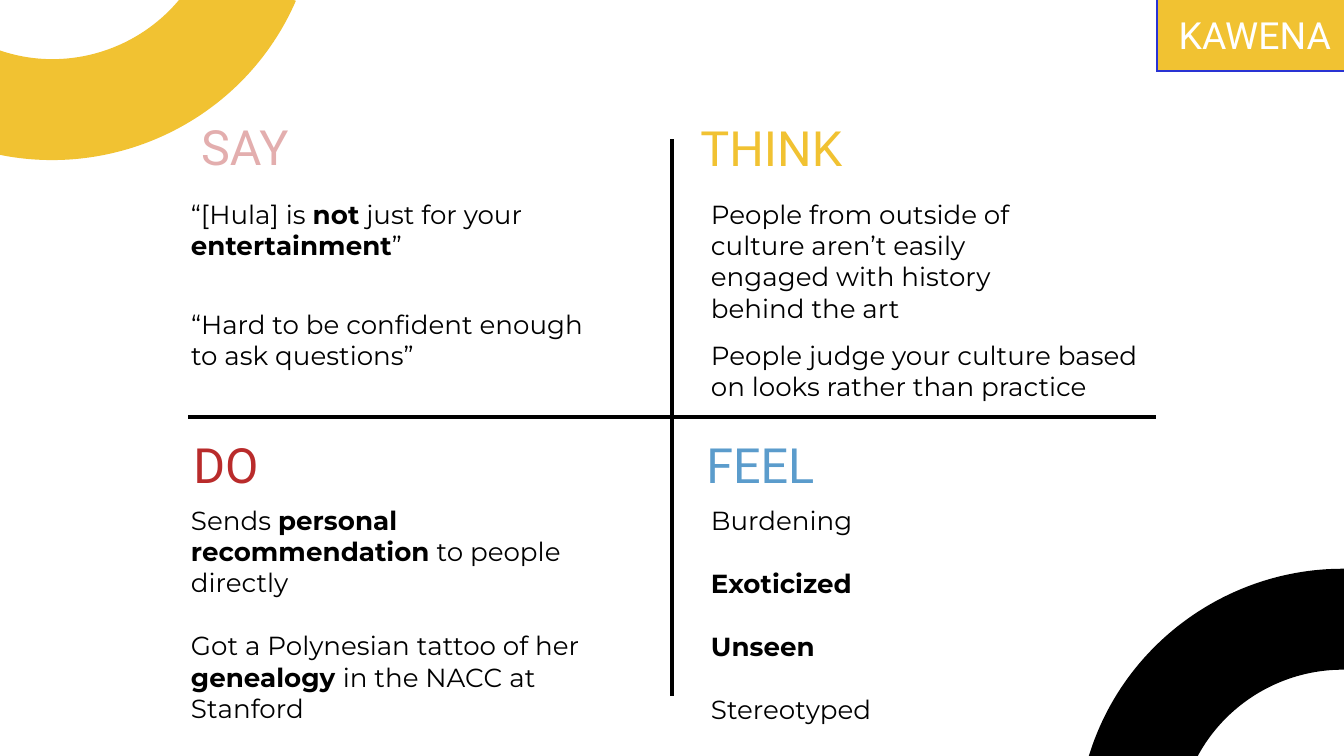
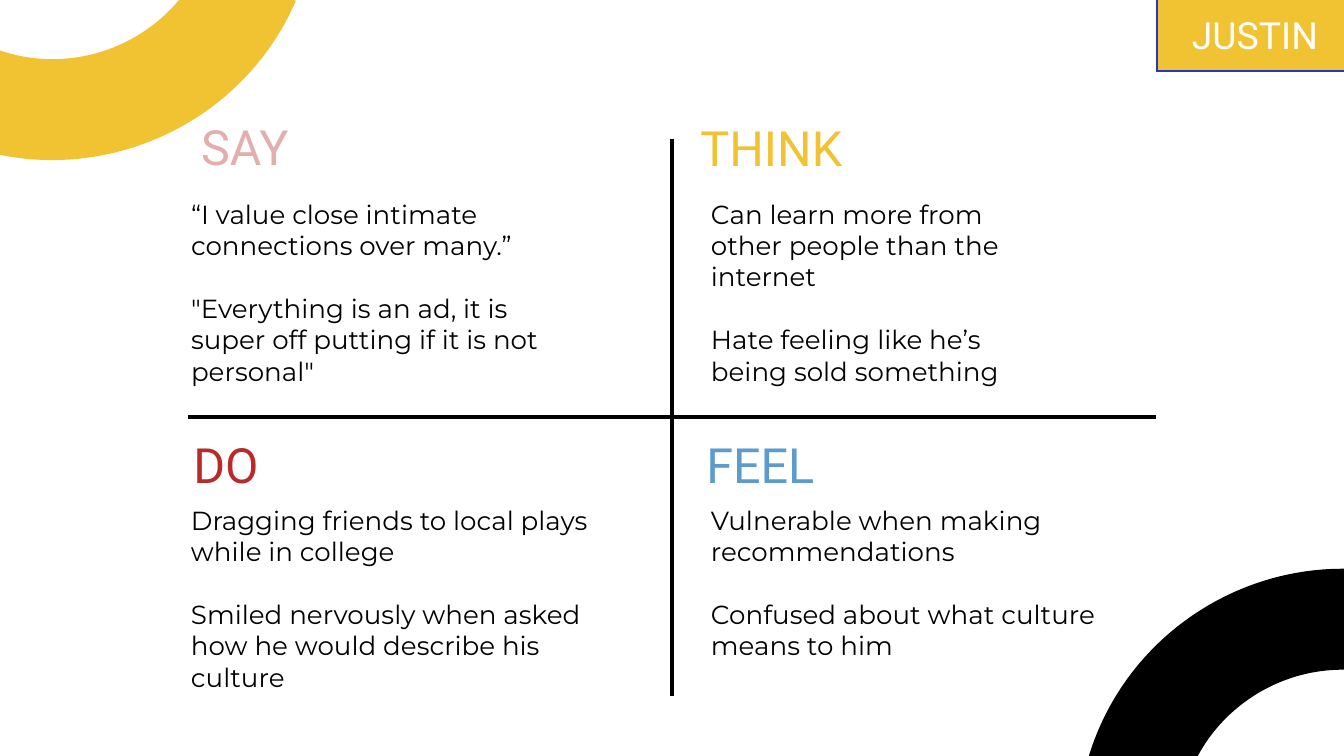
"""Build two empathy maps, one slide per person."""
from dataclasses import dataclass

from pptx import Presentation
from pptx.dml.color import RGBColor
from pptx.enum.dml import MSO_LINE
from pptx.enum.shapes import MSO_SHAPE
from pptx.enum.text import MSO_ANCHOR, MSO_AUTO_SIZE, PP_ALIGN
from pptx.oxml.ns import qn
from pptx.oxml.xmlchemy import OxmlElement
from pptx.util import Pt

SCALE = 914400 / 134.4
BEND = 0.55


@dataclass(frozen=True)
class Theme:
    """Colours, fonts and type sizes."""
    gold: str = "F1C232"
    pink: str = "E3AEAE"
    red: str = "B92B2B"
    sky: str = "5B9CCC"
    blue: str = "2932D3"
    black: str = "000000"
    white: str = "FFFFFF"
    head: str = "Roboto"
    body: str = "Montserrat"
    big: int = 26
    mid: int = 20
    small: int = 14
    gap: int = 17
    line: float = 0.75


THEME = Theme()

HEADS = [
    ("SAY", THEME.pink, (177, 105, 136, 90)),
    ("DO", THEME.red, (131, 423, 190, 88)),
    ("THINK", THEME.gold, (666, 106, 211, 88)),
    ("FEEL", THEME.sky, (655, 423, 211, 88)),
]
LEFT, RIGHT = 178, 698
UPPER, LOWER = 185, 491

PEOPLE = {
    "KAWENA": [
        ((LEFT, UPPER, 360, 90), ["“[Hula] is *not* just for your *entertainment*”"]),
        ((LEFT, 295, 437, 90), ["“Hard to be confident enough to ask questions”"]),
        ((RIGHT, UPPER, 360, 153),
         ["People from outside of culture aren’t easily engaged with history behind the art"]),
        ((RIGHT, 326, 476, 90),
         ["People judge your culture based on looks rather than practice"]),
        ((RIGHT, LOWER, 476, 249),
         ["Burdening", "*Exoticized*", "*Unseen*", "Stereotyped"]),
        ((LEFT, LOWER, 450, 185),
         ["Sends *personal recommendation* to people directly",
          "Got a Polynesian tattoo of her *genealogy *in the NACC at Stanford"]),
    ],
    "JUSTIN": [
        ((LEFT, UPPER, 395, 185),
         ["“I value close intimate connections over many.”",
          "\"Everything is an ad, it is super off putting if it is not personal\""]),
        ((RIGHT, UPPER, 360, 185),
         ["Can learn more from other people than the internet",
          "Hate feeling like he’s being sold something"]),
        ((RIGHT, LOWER, 476, 185),
         ["Vulnerable when making recommendations",
          "Confused about what culture means to him"]),
        ((LEFT, LOWER, 450, 185),
         ["Dragging friends to local plays while in college",
          "Smiled nervously when asked how he would describe his culture"]),
    ],
}


def px(*nums):
    """Turn px lengths into EMU."""
    return [round(num * SCALE) for num in nums]


def paint(shape, fill, edge=None):
    """Set fill and outline and drop the shadow."""
    shape.shadow.inherit = False
    shape.fill.solid()
    shape.fill.fore_color.rgb = RGBColor.from_string(fill)
    if not edge:
        shape.line.fill.background()
        return
    shape.line.color.rgb = RGBColor.from_string(edge)
    shape.line.width = Pt(THEME.line)
    shape.line.dash_style = MSO_LINE.SOLID
    line = shape._element.spPr.find(qn("a:ln"))
    line.set("cap", "flat")
    join = OxmlElement("a:miter")
    join.set("lim", "800000")
    line.append(join)


def outline(slide, points, fill, edge=None):
    """Draw a closed outline through px points."""
    start, *rest = [px(*point) for point in points]
    build = slide.shapes.build_freeform(*start, scale=1.0)
    build.add_line_segments(rest, close=True)
    shape = build.convert_to_shape()
    paint(shape, fill, edge)
    return shape


def curve(node, *points):
    """Turn a line segment into a curve with two control points."""
    node.tag = qn("a:cubicBezTo")
    for spot, point in enumerate(points):
        knot = OxmlElement("a:pt")
        for axis, num in zip("xy", px(*point)):
            knot.set(axis, str(num))
        node.insert(spot, knot)


def ring(slide, left, top, turn, fill):
    """Draw a quarter ring in a turned square."""
    size, band = 265, 101
    points = [(size, 0), (0, size), (band, size), (size, band)]
    shape = outline(slide, [(left + x, top + y) for x, y in points], fill)
    outer, _, inner = list(shape._element.iter(qn("a:lnTo")))[:3]
    far = size * (1 - BEND)
    near = size - (size - band) * BEND
    curve(outer, (far, 0), (0, far))
    curve(inner, (band, near), (near, band))
    shape.rotation = turn


def cross(slide):
    """Draw the thin cross that parts the four fields."""
    left, right, top, base = 189, 1155, 140, 695
    west, east, north, south = 671, 673, 416, 418
    outline(slide, [
        (left, north), (west, north), (west, top), (east, top),
        (east, north), (right, north), (right, south), (east, south),
        (east, base), (west, base), (west, south), (left, south),
    ], THEME.blue, THEME.black)


def pad(frame, inset):
    """Wrap the text and set equal insets."""
    frame.word_wrap = True
    size, = px(inset)
    frame.margin_left = frame.margin_right = size
    frame.margin_top = frame.margin_bottom = size


def add_run(para, text, face, size, tint, bold=False):
    """Add one styled run."""
    run = para.add_run()
    run.text = text
    font = run.font
    font.name, font.size, font.bold = face, Pt(size), bold
    font.color.rgb = RGBColor.from_string(tint)


def label(shape, text, size, tint, anchor=MSO_ANCHOR.TOP):
    """Centre one line of heading type in a shape."""
    frame = shape.text_frame
    pad(frame, 12)
    frame.vertical_anchor = anchor
    para = frame.paragraphs[0]
    para.alignment = PP_ALIGN.CENTER
    add_run(para, text, THEME.head, size, tint)


def note(slide, box, lines):
    """Add body text, with bold parts between stars."""
    frame = slide.shapes.add_textbox(*px(*box)).text_frame
    pad(frame, 13)
    frame.auto_size = MSO_AUTO_SIZE.SHAPE_TO_FIT_TEXT
    for row, line in enumerate(lines):
        para = frame.add_paragraph() if row else frame.paragraphs[0]
        if row:
            para.space_before = Pt(THEME.gap)
        for part, text in enumerate(line.split("*")):
            if text:
                add_run(para, text, THEME.body, THEME.small, THEME.black, part % 2 == 1)


def tag(slide, name):
    """Add the name tag in the corner."""
    shape = slide.shapes.add_shape(MSO_SHAPE.RECTANGLE, *px(1157, -1, 196, 72))
    paint(shape, THEME.gold, THEME.blue)
    label(shape, name, THEME.mid, THEME.white, MSO_ANCHOR.MIDDLE)


def frame_map(slide):
    """Draw the rings, cross and headings that all maps share."""
    ring(slide, -11, -63, 203.5, THEME.gold)
    ring(slide, 1116, 539, 15, THEME.black)
    cross(slide)
    for text, tint, box in HEADS:
        label(slide.shapes.add_textbox(*px(*box)), text, THEME.big, tint)


def main():
    """Build and save the deck."""
    deck = Presentation()
    deck.slide_width, deck.slide_height = px(1344, 756)
    for name, notes in PEOPLE.items():
        slide = deck.slides.add_slide(deck.slide_layouts[6])
        frame_map(slide)
        for box, lines in notes:
            note(slide, box, lines)
        tag(slide, name)
    deck.save("out.pptx")


if __name__ == "__main__":
    main()
